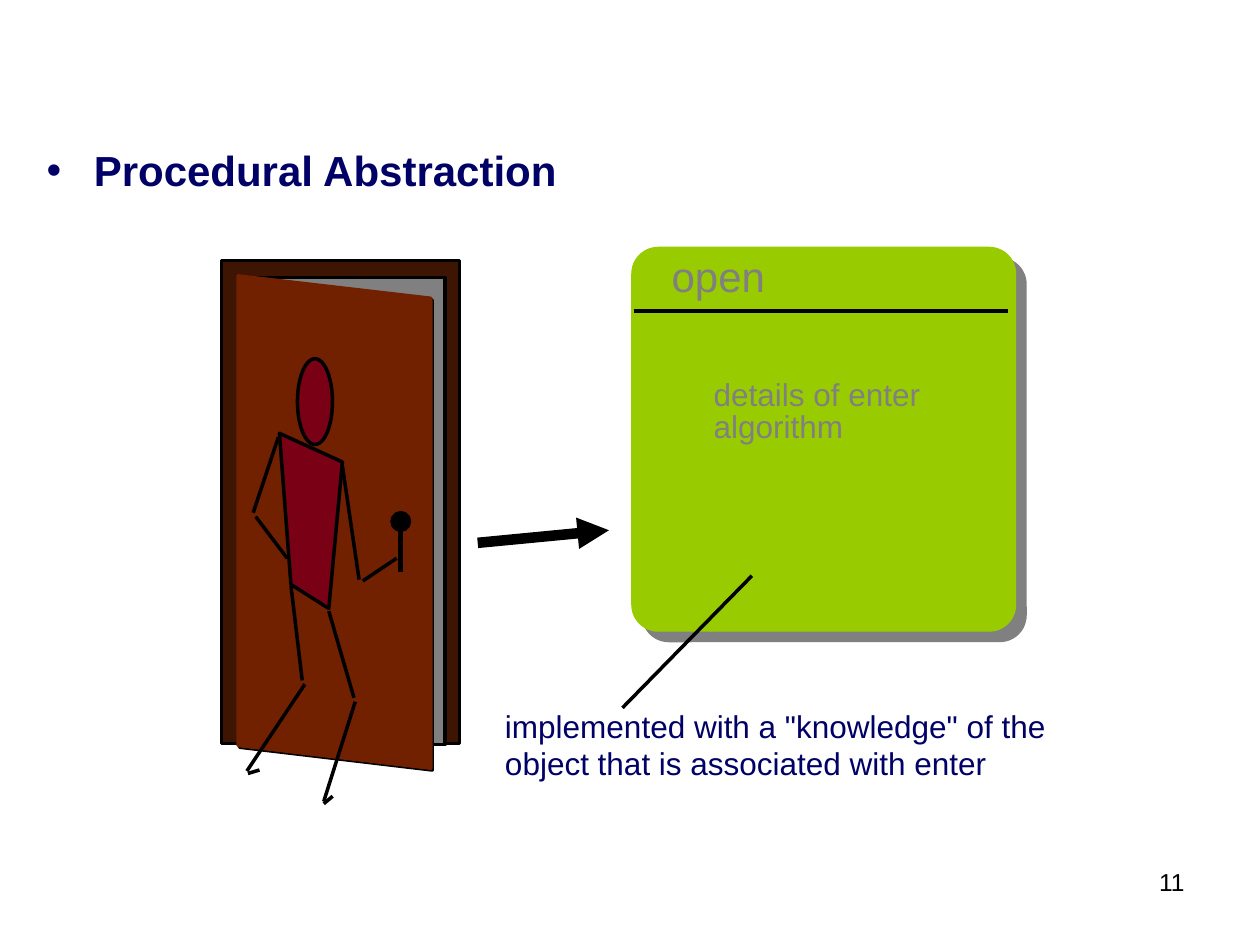
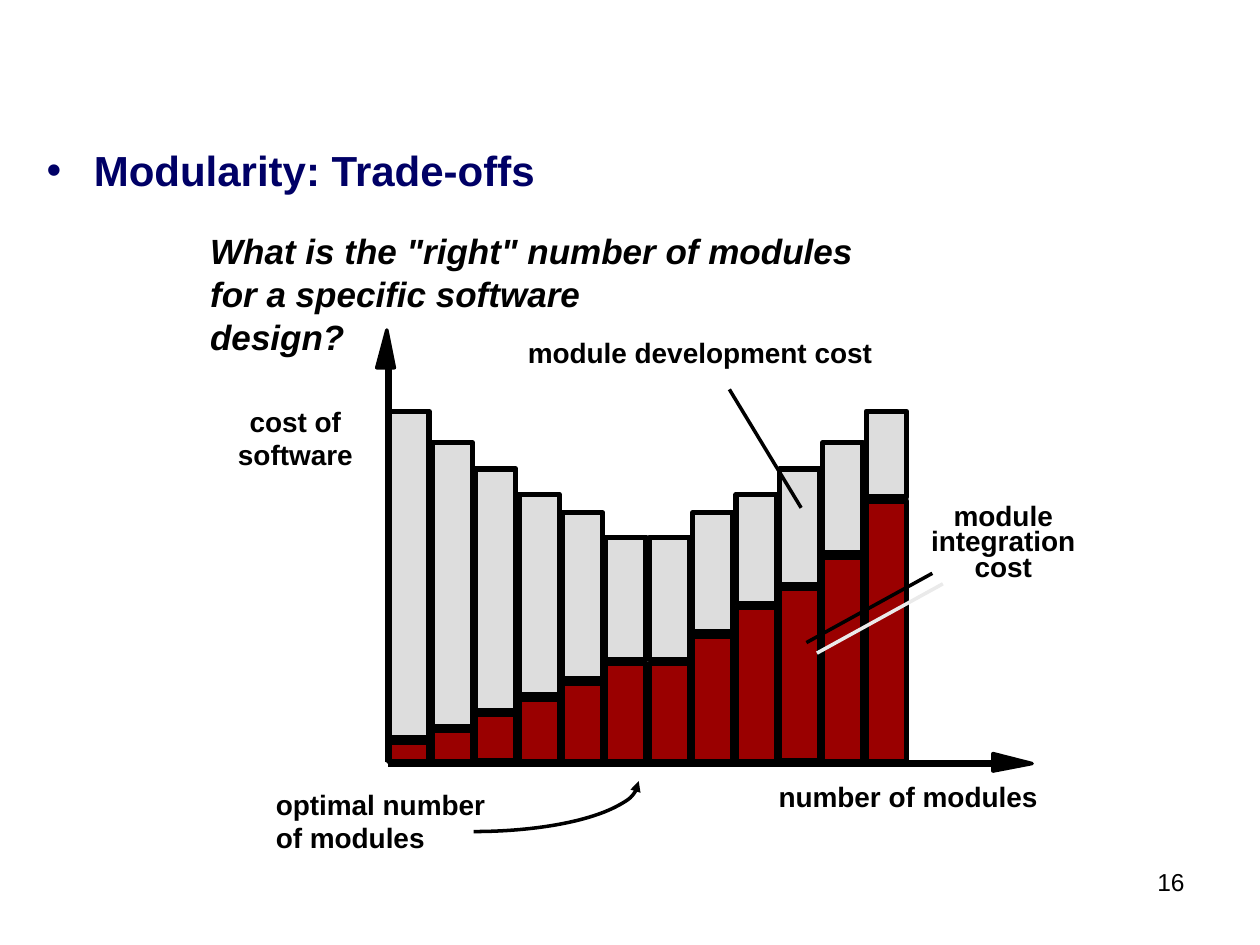
from pptx import Presentation
from pptx import util as u
from pptx.dml.color import RGBColor
from pptx.enum import shapes, text
from pptx.oxml import parse_xml
from pptx.oxml.ns import nsdecls

FONT = "Arial"
NAVY, BLACK, GREY = "000066", "000000", "808080"
RECT = shapes.MSO_SHAPE.RECTANGLE
OVAL = shapes.MSO_SHAPE.OVAL
LEFT, MID, RIGHT = text.PP_ALIGN.LEFT, text.PP_ALIGN.CENTER, text.PP_ALIGN.RIGHT


def tint(code):
    return RGBColor.from_string(code)


def paint(shape, fill, line, width):
    shape.shadow.inherit = False
    if fill:
        shape.fill.solid()
        shape.fill.fore_color.rgb = tint(fill)
    else:
        shape.fill.background()
    if line:
        shape.line.color.rgb = tint(line)
        shape.line.width = u.Pt(width)
    else:
        shape.line.fill.background()
    return shape


def form(slide, kind, box, fill=None, line=BLACK, width=2):
    shape = slide.shapes.add_shape(kind, *map(u.Pt, box))
    return paint(shape, fill, line, width)


def poly(slide, left, top, points, fill=None, line=BLACK, width=2):
    spots = [(u.Pt(left + x), u.Pt(top + y)) for x, y in points]
    pen = slide.shapes.build_freeform(*spots[0], scale=1)
    pen.add_line_segments(spots[1:], close=True)
    return paint(pen.convert_to_shape(), fill, line, width)


def tip(shape, end):
    shape.line._get_or_add_ln().append(
        parse_xml(f'<a:{end} {nsdecls("a")} type="triangle"/>'))


def stroke(slide, left, top, ends, width=2):
    x1, y1, x2, y2 = ends
    line = slide.shapes.add_connector(
        shapes.MSO_CONNECTOR.STRAIGHT,
        u.Pt(left + x1), u.Pt(top + y1), u.Pt(left + x2), u.Pt(top + y2))
    line.line.color.rgb = tint(BLACK)
    line.line.width = u.Pt(width)
    line._element.spPr.append(parse_xml(f'<a:effectLst {nsdecls("a")}/>'))
    return line


def cast(shape, colour):
    effect = shape._element.spPr.find(
        "{http://schemas.openxmlformats.org/drawingml/2006/main}effectLst")
    effect.append(parse_xml(
        f'<a:outerShdw {nsdecls("a")} dist="{u.Pt(8.5)}" dir="2700000" '
        f'algn="ctr" rotWithShape="0"><a:srgbClr val="{colour}"/></a:outerShdw>'))


def write(para, words, size, colour, bold=False, slant=False):
    run = para.add_run()
    run.text = words
    font = run.font
    font.name, font.size = FONT, u.Pt(size)
    font.bold, font.italic = bold, slant
    font.color.rgb = tint(colour)


def say(slide, box, lines, size, colour=BLACK, bold=False, slant=False,
        align=LEFT, pitch=None):
    frame = slide.shapes.add_textbox(*map(u.Pt, box)).text_frame
    frame.word_wrap = True
    for i, words in enumerate(lines):
        para = frame.add_paragraph() if i else frame.paragraphs[0]
        para.alignment = align
        if pitch:
            para.line_spacing = pitch
        write(para, words, size, colour, bold, slant)


def page(deck, head, number):
    slide = deck.slides.add_slide(deck.slide_layouts[1])
    title = slide.shapes.title
    title._element.getparent().remove(title._element)
    body = slide.placeholders[1]
    body.left, body.top, body.width, body.height = map(u.Pt, (19.4, 79, 648, 108))
    body.text_frame.auto_size = text.MSO_AUTO_SIZE.NONE
    para = body.text_frame.paragraphs[0]
    para.space_before = u.Pt(0)
    para.font.size = u.Pt(24)
    para.font.color.rgb = tint(NAVY)
    write(para, head, 24, NAVY, True)
    say(slide, (535.7, 492, 148.3, 37), [number], 14, align=RIGHT)
    return slide


def door(slide, x, y):
    brown = "712000"
    form(slide, RECT, (x, y, 136, 276), "3E1403")
    form(slide, RECT, (x + 9.5, y + 9.5, 118, 267), GREY)
    leaf = [(9.4, 8.7), (119.5, 21.5), (119.5, 290), (9.4, 277)]
    poly(slide, x + 0.8, y + 1, leaf)
    poly(slide, x, y, leaf, brown, brown)
    form(slide, OVAL, (x + 97.3, y + 144, 10, 10), BLACK)
    stroke(slide, x, y, (102, 153, 102, 178), 3)


def person(slide, x, y):
    wine = "790015"
    form(slide, OVAL, (x + 43.3, y + 56, 20, 49), wine)
    poly(slide, x, y, [(33, 98.6), (69, 115), (61.2, 198.7), (39.6, 185)], wine)
    limbs = [
        (69, 117.4, 78.5, 182.2), (80.6, 183, 100, 170),
        (32.4, 100.8, 18, 144), (19.4, 146.2, 37.4, 170),
        (61.2, 200.2, 75.6, 249.8), (76.3, 252, 58.3, 309),
        (58.3, 310.3, 63.4, 306), (39.6, 185.8, 46, 239.8),
        (47.5, 242, 14.4, 291.6), (15, 293, 21.6, 291),
    ]
    for limb in limbs:
        stroke(slide, x, y, limb)


def card(slide, x, y, side):
    shape = form(slide, shapes.MSO_SHAPE.ROUNDED_RECTANGLE,
                 (x, y, side, side), "99CC00", None)
    shape.adjustments[0] = 0.07
    cast(shape, GREY)
    stroke(slide, x, y, (1.4, 36.8, side - 4.4, 36.8))
    say(slide, (x + 16, y - 1.4, 90, 36), ["open"], 24, GREY)
    say(slide, (x + 40, y + 73, 150, 46), ["details of enter", "algorithm"],
        18, GREY, pitch=u.Pt(18.3))
    stroke(slide, x, y, (69, 188, -5, 263.5))
    say(slide, (x - 79.2, y + 259.2, 340, 54),
        ['implemented with a "knowledge" of the',
         "object that is associated with enter"], 18, NAVY)


def bars(slide, x, base):
    costs = [200, 182, 167, 152.5, 142, 128]
    joins = [11, 17.6, 26.6, 35.6, 44.6, 55.8, 55.8, 71.6, 87.8, 98.6, 116.6, 148.7]
    pitch, wide, gap = 24.8, 23, 2.3
    for i, (top, join) in enumerate(zip(costs + costs[::-1], joins)):
        left = x + 0.4 + i * pitch
        form(slide, RECT, (left, base - join, wide, join), "9A0000", width=3)
        form(slide, RECT, (left, base - top, wide, top - join - gap),
             "DDDDDD", width=3)


def axes(slide, x, base):
    stroke(slide, x, base, (0, 1.3, 345, 1.3), 4)
    poly(slide, x, base, [(368, 1.3), (345.6, 5.6), (345.6, -4.4)], BLACK)
    stroke(slide, x, base, (0, 0.7, 0, -225.6), 4)
    poly(slide, x, base, [(-0.7, -246.4), (3.6, -224.8), (-6.5, -224.8)], BLACK)


def notes(slide, x, base):
    def tag(left, top, wide, *lines, **more):
        say(slide, (x + left, base + top, wide, 22 * len(lines)), lines,
            16, bold=True, **more)

    tag(-103, -207.5, 100, "cost of", "software", align=MID)
    tag(216, 7, 175, "number of modules")
    tag(72.7, -247, 226, "module development cost")
    tag(301, -149, 101, "module", "integration", "cost", align=MID, pitch=0.75)
    tag(-71.3, 11.4, 140, "optimal number", "of modules")
    stroke(slide, x, base, (195, -212.5, 236, -144.8))
    cast(stroke(slide, x, base, (311, -107.4, 239, -67.8)), "EAEAEA")
    arc = form(slide, shapes.MSO_SHAPE.ARC, (x - 45.4, base - 17.4, 188.6, 57.6))
    arc.adjustments[0], arc.adjustments[1] = 0, 54
    tip(arc, "headEnd")


def main():
    deck = Presentation()
    deck.slide_width, deck.slide_height = u.Pt(720), u.Pt(540)

    slide = page(deck, "Procedural Abstraction", "11")
    tip(stroke(slide, 273, 303, (0, 7.2, 75, 0), 6), "tailEnd")
    door(slide, 126.7, 149)
    person(slide, 126.7, 149)
    card(slide, 360.7, 141, 220)

    slide = page(deck, "Modularity: Trade-offs", "16")
    say(slide, (113, 127, 400, 81),
        ['What is the "right" number of modules',
         "for a specific software", "design?"],
        20, bold=True, slant=True, pitch=u.Pt(24.6))
    for part in (bars, axes, notes):
        part(slide, 221.8, 435)

    deck.save("out.pptx")


if __name__ == "__main__":
    main()
